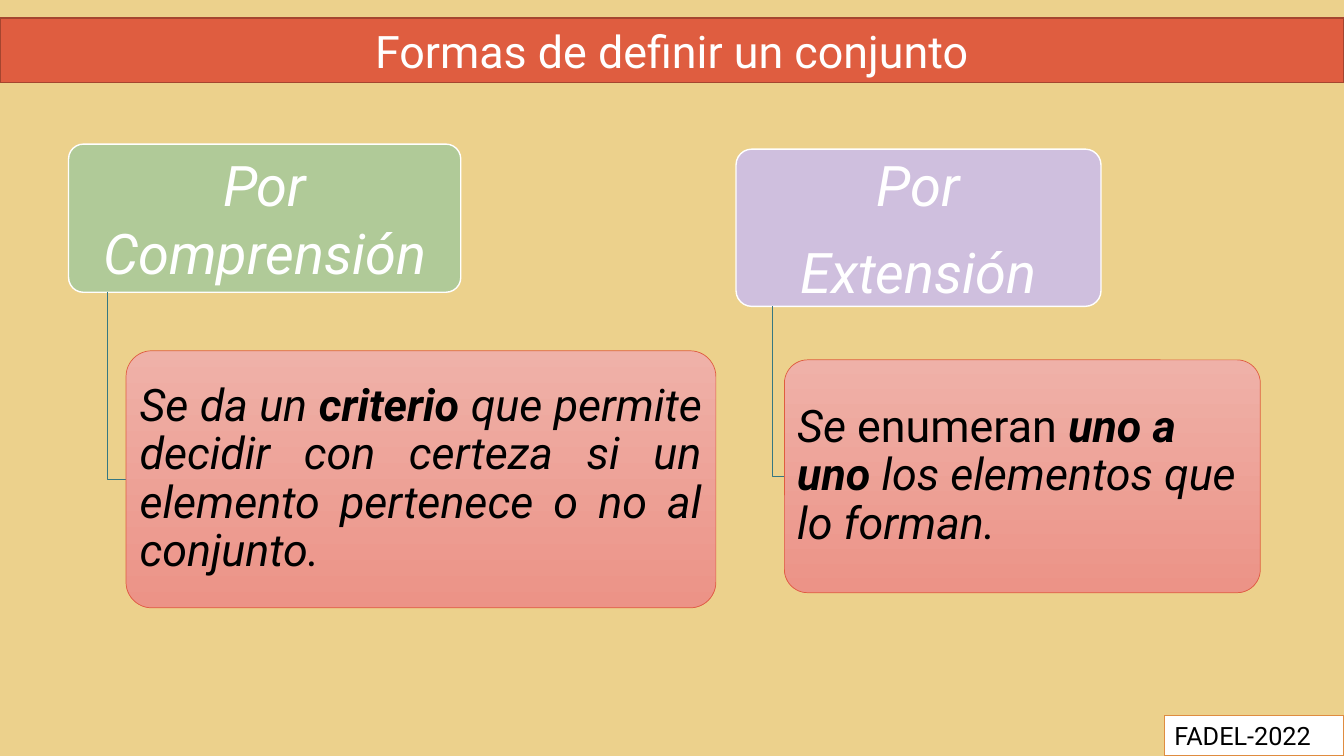
"""Build a slide on the two ways of defining a set."""
from pptx import Presentation
from pptx.dml.color import RGBColor
from pptx.enum.shapes import MSO_SHAPE
from pptx.enum.text import MSO_ANCHOR, PP_ALIGN
from pptx.util import Inches, Pt

RECT, ROUNDED = MSO_SHAPE.RECTANGLE, MSO_SHAPE.ROUNDED_RECTANGLE
LEFT, CENTER, JUSTIFY = PP_ALIGN.LEFT, PP_ALIGN.CENTER, PP_ALIGN.JUSTIFY
MIDDLE = MSO_ANCHOR.MIDDLE

WIDTH, HEIGHT = 13.33, 7.5
FONT = "Roboto"
COLORS = {
    "background": "ECD18C", "banner": "DF5D40", "banner_edge": "A5452F",
    "green": "B0CA98", "lilac": "CFBFDE", "detail_top": "EFB1A8",
    "detail_bottom": "EC9387", "branch": "367782", "tag_edge": "DF8C40",
    "white": "FFFFFF", "black": "000000",
}
TITLE = "Formas de definir un conjunto"
TAG = "FADEL-2022"
BRANCHES = [
    {
        "heading": [[("Por Comprensión", "i")]],
        "color": "green",
        "heading_box": (0.68, 1.43, 3.89, 1.47),
        "detail": [[("Se da un ", "i"), ("criterio", "bi"),
                    (" que permite decidir con certeza si un elemento "
                     "pertenece o no al conjunto.", "i")]],
        "detail_box": (1.25, 3.48, 5.85, 2.55),
        "align": JUSTIFY,
    },
    {
        "heading": [[("Por", "i")], [("Extensión", "i")]],
        "color": "lilac",
        "heading_box": (7.3, 1.48, 3.62, 1.56),
        "detail": [[("Se ", "i"), ("enumeran ", ""), ("uno a uno", "bi"),
                    (" los elementos que lo forman.", "i")]],
        "detail_box": (7.78, 3.57, 4.72, 2.31),
        "align": LEFT,
    },
]


def rgb(name):
    return RGBColor.from_string(COLORS[name])


def write(shape, paragraphs, size, color="white", align=CENTER,
          inset=(0.1, 0.05), spacing=1.0, after=0):
    frame = shape.text_frame
    frame.word_wrap = True
    frame.vertical_anchor = MIDDLE
    frame.margin_left = frame.margin_right = Inches(inset[0])
    frame.margin_top = frame.margin_bottom = Inches(inset[1])
    for index, runs in enumerate(paragraphs):
        paragraph = frame.add_paragraph() if index else frame.paragraphs[0]
        paragraph.alignment = align
        paragraph.line_spacing = spacing
        paragraph.space_before = Pt(0)
        paragraph.space_after = Pt(after)
        for text, style in runs:
            run = paragraph.add_run()
            run.text = text
            run.font.name, run.font.size = FONT, Pt(size)
            run.font.bold, run.font.italic = "b" in style, "i" in style
            run.font.color.rgb = rgb(color)


def outline(shape, color, width=1):
    shape.line.color.rgb = rgb(color)
    shape.line.width = Pt(width)


def add_box(slide, preset, box, fill, edge, edge_width=1):
    shape = slide.shapes.add_shape(preset, *map(Inches, box))
    shape.shadow.inherit = False
    if preset == ROUNDED:
        shape.adjustments[0] = 0.1
    if isinstance(fill, tuple):
        shape.fill.gradient()
        shape.fill.gradient_angle = 270
        for stop, color in zip(shape.fill.gradient_stops, fill):
            stop.color.rgb = rgb(color)
    else:
        shape.fill.solid()
        shape.fill.fore_color.rgb = rgb(fill)
    outline(shape, edge, edge_width)
    return shape


def add_elbow(slide, heading_box, detail_box):
    x, y, width, height = heading_box
    trunk, top = x + width / 10, y + height
    end, middle = detail_box[0], detail_box[1] + detail_box[3] / 2
    builder = slide.shapes.build_freeform(Inches(trunk), Inches(top))
    corners = [(trunk, middle), (end, middle)]
    builder.add_line_segments(
        [(Inches(a), Inches(b)) for a, b in corners], close=False)
    elbow = builder.convert_to_shape()
    elbow.shadow.inherit = False
    elbow.fill.background()
    outline(elbow, "branch")


def add_branch(slide, branch):
    heading = add_box(slide, ROUNDED, branch["heading_box"],
                      branch["color"], "white")
    write(heading, branch["heading"], 40, inset=(0.08, 0.06), after=14)
    add_elbow(slide, branch["heading_box"], branch["detail_box"])
    detail = add_box(slide, ROUNDED, branch["detail_box"],
                     ("detail_top", "detail_bottom"), "banner", 0.5)
    write(detail, branch["detail"], 32, color="black", align=branch["align"],
          inset=(0.06, 0.04), spacing=0.9, after=11)


def main():
    deck = Presentation()
    deck.slide_width, deck.slide_height = Inches(WIDTH), Inches(HEIGHT)
    slide = deck.slides.add_slide(deck.slide_layouts[5])
    slide.background.fill.solid()
    slide.background.fill.fore_color.rgb = rgb("background")

    title = slide.shapes.title
    title.left, title.top = Inches(0), Inches(0.18)
    title.width, title.height = Inches(WIDTH), Inches(0.64)
    title.fill.solid()
    title.fill.fore_color.rgb = rgb("banner")
    outline(title, "banner_edge")
    write(title, [[(TITLE, "")]], 32)

    for branch in BRANCHES:
        add_branch(slide, branch)

    tag_width, tag_height = 1.78, 0.4
    tag = add_box(slide, RECT, (WIDTH - tag_width, HEIGHT - tag_height,
                                tag_width, tag_height), "white", "tag_edge")
    write(tag, [[(TAG, "")]], 18, color="black", align=LEFT)
    deck.save("out.pptx")


if __name__ == "__main__":
    main()
